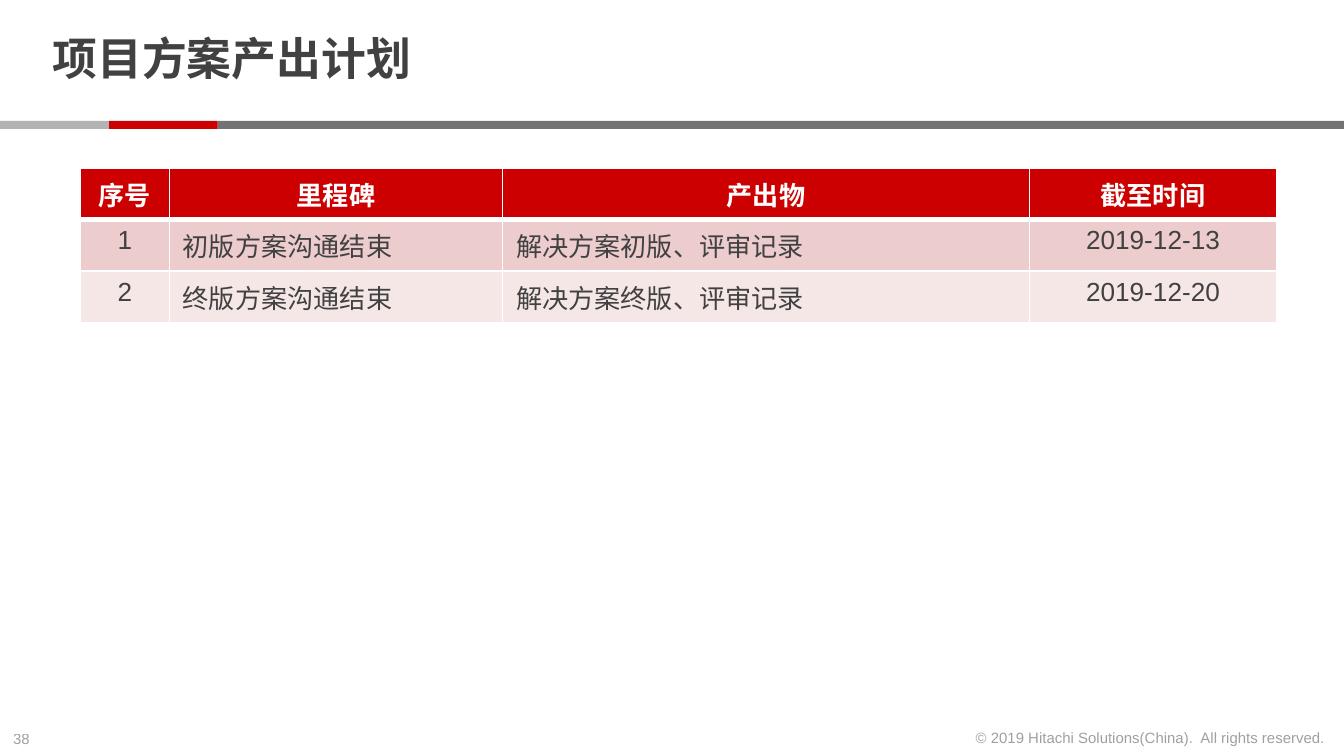
from lxml.etree import SubElement as Sub
from pptx import Presentation
from pptx.dml.color import RGBColor
from pptx.enum.shapes import MSO_SHAPE as Shape
from pptx.enum.text import MSO_ANCHOR as Anchor, MSO_AUTO_SIZE as Auto, PP_ALIGN as Align
from pptx.oxml.ns import qn
from pptx.util import Inches, Pt

INK, RED, WHITE = "414141", "CC0000", "FFFFFF"
HEAD = ["序号", "里程碑", "产出物", "截至时间"]
ROWS = [
    ["1", "初版方案沟通结束", "解决方案初版、评审记录", "2019-12-13"],
    ["2", "终版方案沟通结束", "解决方案终版、评审记录", "2019-12-20"],
]
COLS = [0.66, 2.48, 3.92, 1.84]
SIDES = [Align.CENTER, Align.LEFT, Align.LEFT, Align.CENTER]


def paint(fill, tone):
    """Give a fill one solid colour."""
    fill.solid()
    fill.fore_color.rgb = RGBColor.from_string(tone)


def write(frame, text, size, tone, bold=False, side=Align.LEFT):
    """Add one styled run to the first paragraph and return it."""
    para = frame.paragraphs[0]
    para.alignment = side
    run = para.add_run()
    run.text = text
    font = run.font
    font.name, font.size, font.bold = "Arial", Pt(size), bold
    paint(font.fill, tone)
    return run


def add_title(slide, box, text):
    """Move and fill the title placeholder."""
    title = slide.shapes.title
    title.left, title.top, title.width, title.height = map(Inches, box)
    frame = title.text_frame
    frame.auto_size = Auto.NONE
    frame.word_wrap = True
    frame.vertical_anchor = Anchor.MIDDLE
    frame.margin_left = frame.margin_right = Inches(0.1)
    frame.margin_top = frame.margin_bottom = 0
    write(frame, text, 24, INK, True)
    frame.paragraphs[0].line_spacing = 0.85


def add_rule(slide, box):
    """Draw the three-coloured rule under the title."""
    left, top, wide, high = box
    step = 0.81
    for pos, size, tone in [(2 * step, wide - 2 * step, "737373"),
                            (step, step, RED), (0, step, "B3B3B3")]:
        bar = slide.shapes.add_shape(
            Shape.RECTANGLE, *map(Inches, (left + pos, top, size, high)))
        bar.shadow.inherit = False
        paint(bar.fill, tone)
        bar.line.fill.background()


def add_note(slide, box, text, side):
    """Add a small half-transparent footer text."""
    frame = slide.shapes.add_textbox(*map(Inches, box)).text_frame
    frame.word_wrap = False
    frame.auto_size = Auto.SHAPE_TO_FIT_TEXT
    run = write(frame, text, 8, INK, side=side)
    tone = run.font._element.find(".//" + qn("a:srgbClr"))
    Sub(tone, qn("a:alpha"), val="50000")


def edge(cell, low):
    """Draw white cell borders, the bottom one low points wide."""
    props = cell._tc.get_or_add_tcPr()
    for name, wide in [("lnL", 1), ("lnR", 1), ("lnT", 1), ("lnB", low)]:
        line = Sub(props, qn("a:" + name), w=str(Pt(wide)))
        Sub(Sub(line, qn("a:solidFill")), qn("a:srgbClr"), val=WHITE)


def add_plan(slide, box):
    """Build the milestone table."""
    data = [HEAD] + ROWS
    table = slide.shapes.add_table(
        len(data), len(COLS), *map(Inches, box)).table
    for col, wide in zip(table.columns, COLS):
        col.width = Inches(wide)
    for i, (row, tone) in enumerate(zip(data, [RED, "ECCCCC", "F6E7E7"])):
        top = i == 0
        table.rows[i].height = Inches(box[3] / len(data))
        for j, text in enumerate(row):
            cell = table.cell(i, j)
            edge(cell, 3 if top else 1)
            paint(cell.fill, tone)
            write(cell.text_frame, text, 14, WHITE if top else INK, top,
                  Align.CENTER if top else SIDES[j])


def main():
    """Build and save the slide."""
    deck = Presentation()
    deck.slide_width, deck.slide_height = Inches(10), Inches(10 * 9 / 16)
    slide = deck.slides.add_slide(deck.slide_layouts[5])
    add_note(slide, (0, 5.38, 0.34, 0.24), "38", Align.LEFT)
    add_rule(slide, (0, 0.9, 10, 0.06))
    add_note(slide, (7.12, 5.37, 2.84, 0.24),
             "© 2019 Hitachi Solutions(China).  All rights reserved.", Align.RIGHT)
    add_title(slide, (0.29, 0.06, 7.71, 0.8), "项目方案产出计划")
    add_plan(slide, (0.6, 1.25, 8.9, 1.15))
    deck.save("out.pptx")


if __name__ == "__main__":
    main()
